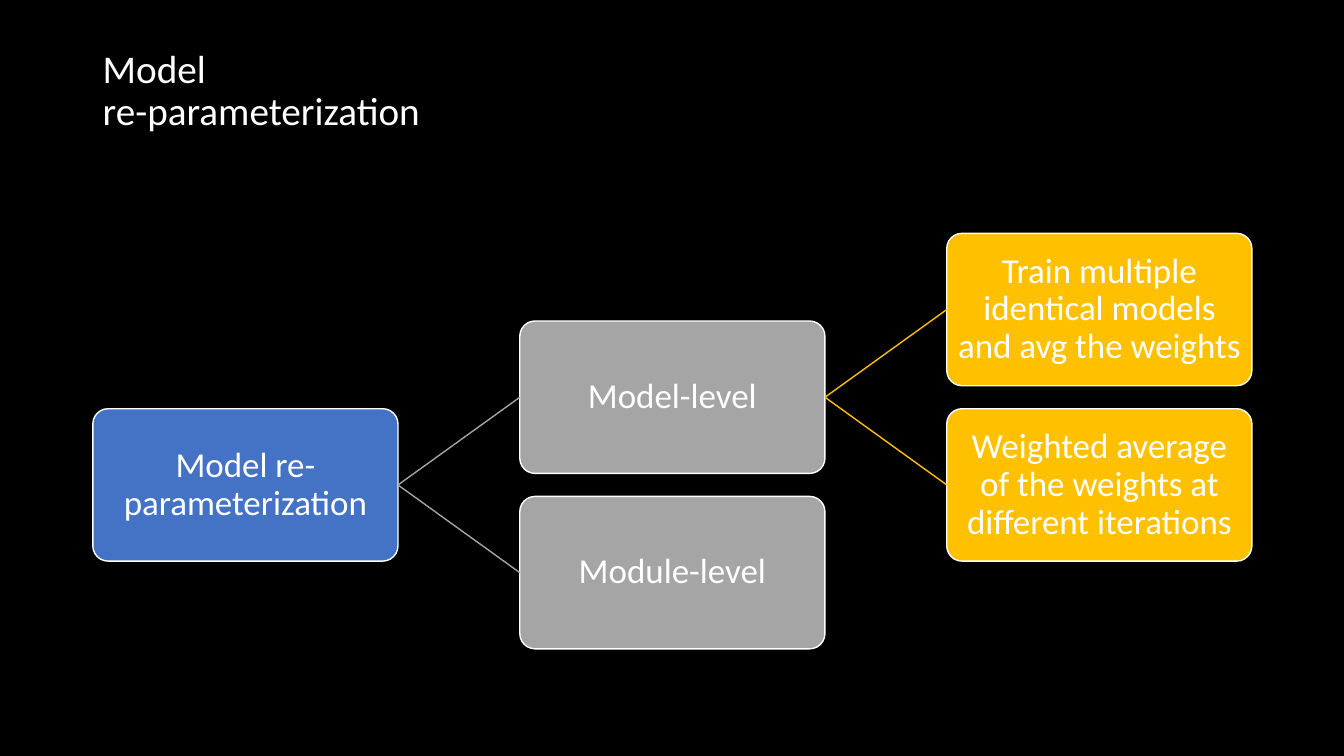
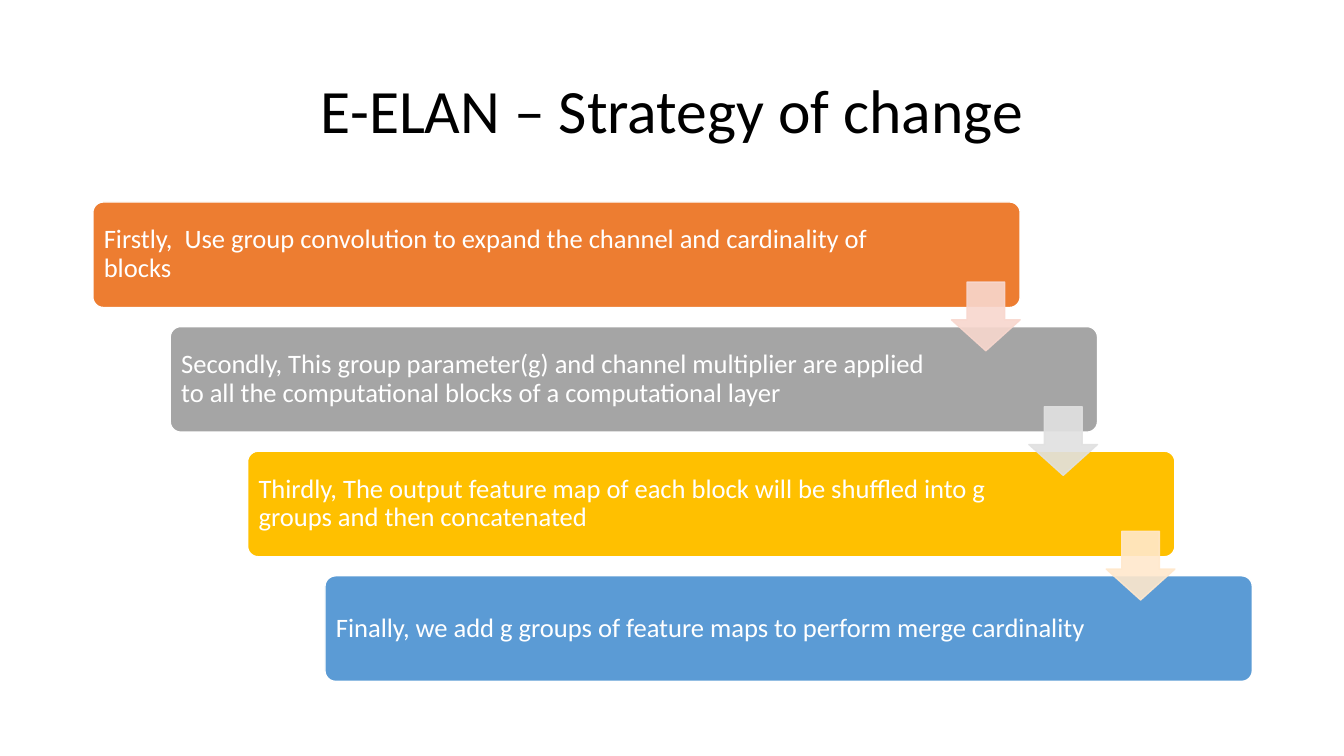
from pptx import Presentation
from pptx.dml.color import RGBColor
from pptx.enum.shapes import MSO_CONNECTOR, MSO_SHAPE
from pptx.enum.text import MSO_ANCHOR, PP_ALIGN
from pptx.oxml.ns import qn
from pptx.oxml.xmlchemy import OxmlElement
from pptx.util import Cm, Pt

ROUNDED = MSO_SHAPE.ROUNDED_RECTANGLE
DOWN_ARROW = MSO_SHAPE.DOWN_ARROW
STRAIGHT = MSO_CONNECTOR.STRAIGHT
MIDDLE = MSO_ANCHOR.MIDDLE
LEFT, CENTER = PP_ALIGN.LEFT, PP_ALIGN.CENTER
LEFT_SIDE, RIGHT_SIDE = 1, 3

FONT = "Calibri"
BLACK, WHITE = "000000", "FFFFFF"
BLUE, ORANGE, GRAY, GOLD, SKY = "4472C4", "ED7D31", "A5A5A5", "FFC000", "5B9BD5"
MARGIN = 2.34


def write(shape, text, size, color=WHITE, align=LEFT, inset=0.25, right=None):
    frame = shape.text_frame
    frame.word_wrap = True
    frame.vertical_anchor = MIDDLE
    frame.margin_left = frame.margin_top = frame.margin_bottom = Cm(inset)
    frame.margin_right = Cm(inset if right is None else right)
    frame.text = text
    para = frame.paragraphs[0]
    para.alignment = align
    para.line_spacing = 0.9
    for span in para.runs:
        span.font.name = FONT
        span.font.size = Pt(size)
        span.font.color.rgb = RGBColor.from_string(color)


def paint(shape, fill, outline, opacity=100):
    shape.shadow.inherit = False
    shape.fill.solid()
    shape.fill.fore_color.rgb = RGBColor.from_string(fill)
    shape.line.color.rgb = RGBColor.from_string(outline)
    shape.line.width = Pt(1)
    if opacity < 100:
        for color in shape.element.spPr.iter(qn("a:srgbClr")):
            alpha = OxmlElement("a:alpha")
            alpha.set("val", str(opacity * 1000))
            color.append(alpha)


deck = Presentation()
deck.slide_width, deck.slide_height = Cm(33.87), Cm(19.05)

titles = [
    ("Model\vre-parameterization", 28, WHITE, BLACK, LEFT, 2.6),
    ("E-ELAN – Strategy of change", 44, BLACK, WHITE, CENTER, 3.68),
]
pages = []
for text, size, color, backdrop, align, height in titles:
    page = deck.slides.add_slide(deck.slide_layouts[6])
    page.background.fill.solid()
    page.background.fill.fore_color.rgb = RGBColor.from_string(backdrop)
    box = page.shapes.add_textbox(Cm(MARGIN), Cm(1.01), Cm(29.21), Cm(height))
    write(box, text, size, color=color, align=align)
    pages.append(page)
tree_page, steps_page = pages

NODE_WIDTH, NODE_HEIGHT = 7.69, 3.84
COLUMN_STEP, ROW_STEP, TREE_TOP = 10.76, 2.21, 5.88
nodes = [
    ("Model re-parameterization", 0, 2, BLUE, None),
    ("Model-level", 1, 1, GRAY, 0),
    ("Train multiple identical models and avg the weights", 2, 0, GOLD, 1),
    ("Weighted average of the weights at different iterations", 2, 2, GOLD, 1),
    ("Module-level", 1, 3, GRAY, 0),
]
boxes = []
for text, column, row, color, parent in nodes:
    box = tree_page.shapes.add_shape(
        ROUNDED, Cm(MARGIN + column * COLUMN_STEP), Cm(TREE_TOP + row * ROW_STEP),
        Cm(NODE_WIDTH), Cm(NODE_HEIGHT))
    box.adjustments[0] = 0.1
    paint(box, color, WHITE)
    write(box, text, 25, align=CENTER, inset=0.05)
    boxes.append(box)
    if parent is not None:
        branch = tree_page.shapes.add_connector(STRAIGHT, 0, 0, 0, 0)
        branch.begin_connect(boxes[parent], RIGHT_SIDE)
        branch.end_connect(box, LEFT_SIDE)
        branch.line.color.rgb = RGBColor.from_string(color)
        branch.line.width = Pt(1)
        branch.element.spPr.append(OxmlElement("a:effectLst"))

STEP_WIDTH, STEP_HEIGHT = 23.37, 2.66
STEP_RIGHT, STEP_DOWN, STEPS_TOP = 1.95, 3.14, 5.09
ARROW_SIZE = 1.73
steps = [
    ("Firstly,  Use group convolution to expand the channel and cardinality of blocks", ORANGE, 3.15),
    ("Secondly, This group parameter(g) and channel multiplier are applied to all the "
     "computational blocks of a computational layer", GRAY, 3.9),
    ("Thirdly, The output feature map of each block will be shuffled into g groups and "
     "then concatenated", GOLD, 3.9),
    ("Finally, we add g groups of feature maps to perform merge cardinality", SKY, 3.9),
]
for index, (text, color, right) in enumerate(steps):
    box = steps_page.shapes.add_shape(
        ROUNDED, Cm(MARGIN + index * STEP_RIGHT), Cm(STEPS_TOP + index * STEP_DOWN),
        Cm(STEP_WIDTH), Cm(STEP_HEIGHT))
    box.adjustments[0] = 0.1
    paint(box, color, WHITE)
    write(box, text, 19, inset=0.2, right=right)

for index, color in enumerate(["F8D7CE", "E1E1E1", "FFE8CC"]):
    arrow = steps_page.shapes.add_shape(
        DOWN_ARROW, Cm(MARGIN + STEP_WIDTH - ARROW_SIZE + index * STEP_RIGHT),
        Cm(STEPS_TOP + 2.02 + index * STEP_DOWN), Cm(ARROW_SIZE), Cm(ARROW_SIZE))
    arrow.adjustments[0] = 0.55
    arrow.adjustments[1] = 0.45
    paint(arrow, color, color, opacity=90)

deck.save("out.pptx")
